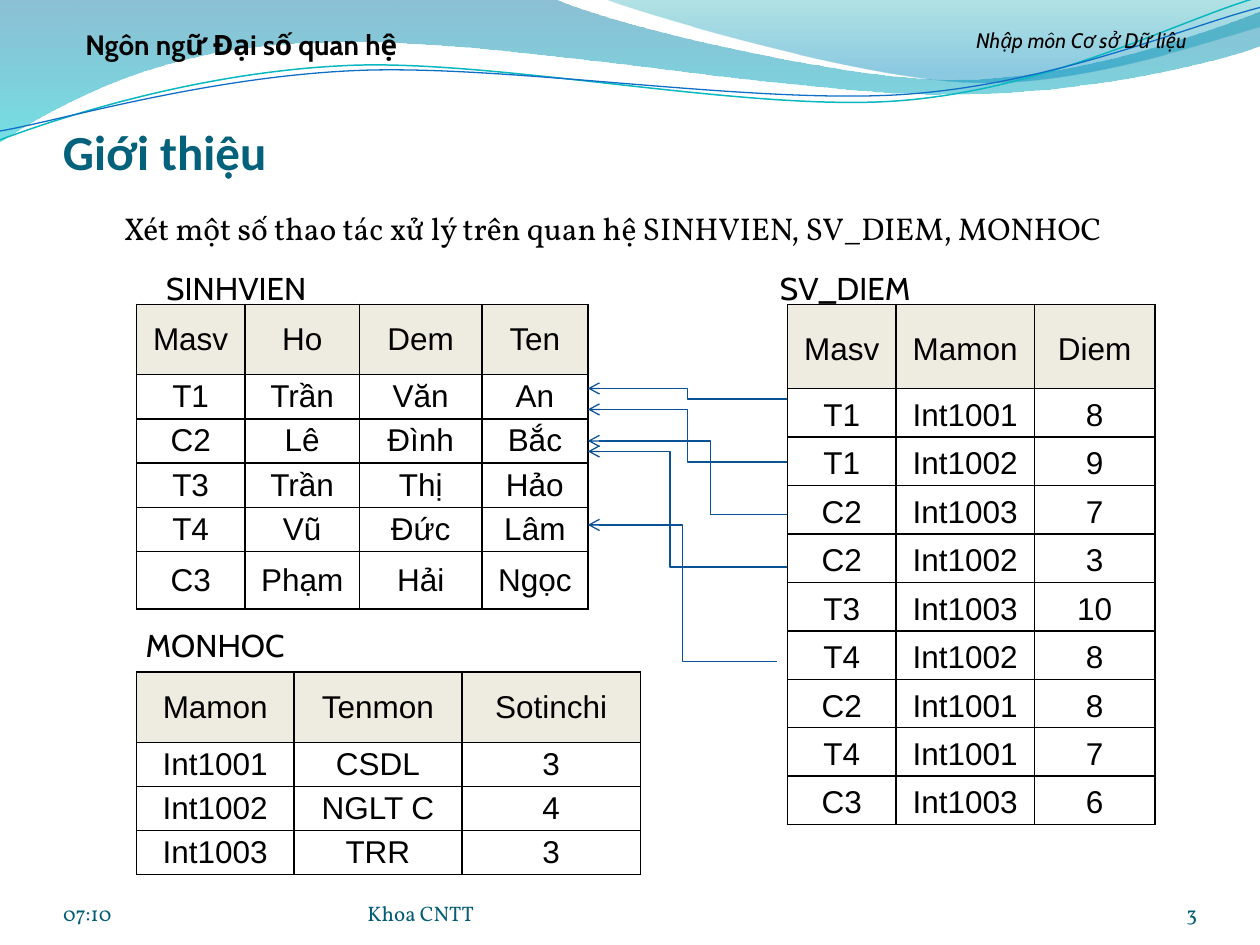
from dataclasses import dataclass
from math import cos, radians, sin
from typing import Optional

from lxml.etree import SubElement
from pptx import Presentation
from pptx.dml.color import ColorFormat, RGBColor
from pptx.enum.shapes import MSO_CONNECTOR as Connector
from pptx.enum.text import MSO_ANCHOR as Anchor, PP_ALIGN as Align
from pptx.oxml.ns import qn
from pptx.util import Pt

BLACK, TEAL, HEADER = "000000", "045D75", "EEECE1"


@dataclass
class Stop:
    color: str
    position: float
    alpha: int


@dataclass
class Wave:
    start: tuple
    segments: list
    stops: tuple = ()
    line: str = ""
    width: float = 0
    tilt: float = 0
    center: tuple = (0, 0)


@dataclass
class Label:
    text: str
    frame: tuple
    size: float
    font: str
    color: str = BLACK
    align: Align = Align.LEFT
    anchor: Anchor = Anchor.TOP
    insets: tuple = (7.2, 3.6, 7.2, 3.6)
    bold: bool = False
    italic: bool = False


@dataclass
class Relation:
    left: float
    top: float
    columns: list
    heights: list
    rows: list
    spacing: Optional[float] = None


@dataclass
class Link:
    begin: tuple
    end: tuple
    bend: float = 0.5


WAVES = [
    Wave((0, -0.7), [
        (316.8, -0.7),
        (342.7, 12.2, 478.1, 45.4, 545.8, 45.4),
        (614.2, 45.4, 689.8, 18.7, 720, 6.5),
        (720.7, 25.9),
        (707.8, 31.7, 626.4, 54.7, 537.1, 54),
        (447.8, 54, 275, 20.2, 185, 24.5),
        (92.9, 25.2, 33.1, 59.8, -0.7, 81.4),
    ], (Stop("0074A1", 0, 45), Stop("00C6CF", 1, 55))),
    Wave((344.9, -0.7), [
        (366.5, 7.9, 491, 44.6, 553.7, 46.8),
        (616.3, 49.7, 691.9, 23, 720, 15.1),
        (720, 0),
    ], (Stop("00A1A9", 0, 30), Stop("008BBF", 0.8, 45))),
    Wave((0, 79.9), [
        (34.6, 67, 113.8, 41, 199.4, 37.4),
        (284.4, 33.8, 427, 64.1, 513.4, 57.6),
        (599.8, 51.1, 675.4, 10.8, 718.6, -1.4),
    ], line="0AB8BF", width=0.85, tilt=-2.7, center=(359.3, 41.4)),
    Wave((0, 74.9), [
        (33.8, 69.1, 118.1, 43.9, 203.8, 40.3),
        (290.2, 36.7, 429.8, 59.8, 516.2, 54),
        (601.9, 48.2, 677.5, 15.1, 720, 4.3),
    ], line="0F6FC6", width=0.75, tilt=-2.7, center=(359.6, 42.5)),
]

LABELS = [
    Label("Giới thiệu", (36, 54, 648, 49), 28, "Calibri", "04617B",
          anchor=Anchor.BOTTOM, insets=(0, 3.6, 0, 0), bold=True),
    Label("Xét một số thao tác xử lý trên quan hệ SINHVIEN, SV_DIEM, MONHOC",
          (42, 108, 648, 48), 18, "Vollkorn", insets=(28.8, 11.4, 7.2, 3.6)),
    Label("Nhập môn Cơ sở Dữ liệu", (516, 12, 204, 27), 12, "Cabin",
          align=Align.CENTER, italic=True),
    Label("Ngôn ngữ Đại số quan hệ", (18, 12, 240, 27), 16, "Cabin",
          align=Align.CENTER, bold=True),
]
LABELS += [
    Label(text, (left, 500.4, width, 28.8), 12, "Vollkorn", TEAL, align,
          Anchor.BOTTOM, (0, 0, 0, 0))
    for text, left, width, align in [
        ("07:10", 36, 168, Align.LEFT),
        ("Khoa CNTT", 210, 264, Align.LEFT),
        ("3", 624, 60, Align.RIGHT),
    ]
]
LABELS += [
    Label(name, (left, top, 102, 29), 18, "Cabin", align=Align.CENTER)
    for name, left, top in [
        ("SINHVIEN", 84, 150), ("SV_DIEM", 432, 150), ("MONHOC", 72, 354),
    ]
]

RELATIONS = [
    Relation(78, 174, [61.9, 65.6, 69.9, 60.6], [40.1] + [25.3] * 4 + [32.9], [
        ("Masv", "Ho", "Dem", "Ten"),
        ("T1", "Trần", "Văn", "An"),
        ("C2", "Lê", "Đình", "Bắc"),
        ("T3", "Trần", "Thị", "Hảo"),
        ("T4", "Vũ", "Đức", "Lâm"),
        ("C3", "Phạm", "Hải", "Ngọc"),
    ]),
    Relation(450, 174, [62, 79.1, 68.9], [48] + [27.7] * 9, [
        ("Masv", "Mamon", "Diem"),
        ("T1", "Int1001", "8"),
        ("T1", "Int1002", "9"),
        ("C2", "Int1003", "7"),
        ("C2", "Int1002", "3"),
        ("T3", "Int1003", "10"),
        ("T4", "Int1002", "8"),
        ("C2", "Int1001", "8"),
        ("T4", "Int1001", "7"),
        ("C3", "Int1003", "6"),
    ], 1.15),
    Relation(78, 384, [90, 95.9, 102.1], [40.2] + [25.2] * 3, [
        ("Mamon", "Tenmon", "Sotinchi"),
        ("Int1001", "CSDL", "3"),
        ("Int1002", "NGLT C", "4"),
        ("Int1003", "TRR", "3"),
    ]),
]

LINKS = [
    Link((450, 228), (336, 222)),
    Link((450, 264), (336, 234)),
    Link((450, 294), (336, 252), 0.384),
    Link((450, 324), (336, 258), 0.589),
    Link((444, 378), (336, 300)),
]


def paint(target: ColorFormat, color: str) -> None:
    target.rgb = RGBColor.from_string(color)


def level(point: tuple, wave: Wave) -> tuple:
    angle = radians(-wave.tilt)
    across, down = (value - middle for value, middle in zip(point, wave.center))
    return (Pt(wave.center[0] + across * cos(angle) - down * sin(angle)),
            Pt(wave.center[1] + across * sin(angle) + down * cos(angle)))


def bend_segments(shape, segments: list) -> None:
    outline = next(shape.element.iter(qn("a:path")))
    steps = iter(outline.findall(qn("a:lnTo")))
    for segment in segments:
        first = next(steps)
        if len(segment) == 2:
            continue
        first.tag = qn("a:cubicBezTo")
        for _ in range(2):
            step = next(steps)
            first.append(step[0])
            outline.remove(step)


def draw_wave(page, wave: Wave) -> None:
    points = [level(segment[i:i + 2], wave)
              for segment in wave.segments for i in range(0, len(segment), 2)]
    builder = page.shapes.build_freeform(*level(wave.start, wave))
    builder.add_line_segments(points, close=bool(wave.stops))
    shape = builder.convert_to_shape()
    bend_segments(shape, wave.segments)
    shape.rotation = wave.tilt
    shape.shadow.inherit = False
    if not wave.stops:
        shape.fill.background()
        paint(shape.line.color, wave.line)
        shape.line.width = Pt(wave.width)
        return
    shape.line.fill.background()
    shape.fill.gradient()
    shape.fill.gradient_angle = 270
    for target, stop in zip(shape.fill.gradient_stops, wave.stops):
        target.position = stop.position
        paint(target.color, stop.color)
    for node, stop in zip(shape.element.iter(qn("a:gs")), wave.stops):
        SubElement(node[0], qn("a:alpha"), val=str(stop.alpha * 1000))


def draw_label(page, label: Label) -> None:
    frame = page.shapes.add_textbox(*map(Pt, label.frame)).text_frame
    frame.word_wrap = True
    frame.vertical_anchor = label.anchor
    (frame.margin_left, frame.margin_top,
     frame.margin_right, frame.margin_bottom) = map(Pt, label.insets)
    para = frame.paragraphs[0]
    para.text = label.text
    para.alignment = label.align
    para.font.size, para.font.name = Pt(label.size), label.font
    para.font.bold, para.font.italic = label.bold, label.italic
    paint(para.font.color, label.color)


def draw_cell(cell, text: str, is_header: bool, spacing: Optional[float]) -> None:
    properties = cell._tc.get_or_add_tcPr()
    for side in ("a:lnL", "a:lnR", "a:lnT", "a:lnB"):
        border = SubElement(properties, qn(side), w=str(Pt(1)))
        SubElement(SubElement(border, qn("a:solidFill")), qn("a:srgbClr"), val=BLACK)
    if is_header:
        cell.fill.solid()
        paint(cell.fill.fore_color, HEADER)
    else:
        cell.fill.background()
    cell.vertical_anchor = Anchor.MIDDLE
    cell.margin_left = cell.margin_right = Pt(5)
    cell.margin_top = cell.margin_bottom = Pt(0)
    para = cell.text_frame.paragraphs[0]
    para.text = text
    para.alignment = Align.CENTER
    para.line_spacing = spacing
    para.font.size, para.font.name = Pt(18), "Arial"
    paint(para.font.color, BLACK)


def draw_relation(page, relation: Relation) -> None:
    table = page.shapes.add_table(
        len(relation.rows), len(relation.columns), Pt(relation.left), Pt(relation.top),
        Pt(sum(relation.columns)), Pt(sum(relation.heights))).table
    table.first_row = table.horz_banding = False
    for column, width in zip(table.columns, relation.columns):
        column.width = Pt(width)
    for index, (row, height) in enumerate(zip(table.rows, relation.heights)):
        row.height = Pt(height)
        for cell, text in zip(row.cells, relation.rows[index]):
            draw_cell(cell, text, index == 0, relation.spacing)


def draw_link(page, link: Link) -> None:
    connector = page.shapes.add_connector(
        Connector.ELBOW, *map(Pt, link.begin + link.end))
    paint(connector.line.color, "095295")
    connector.line.width = Pt(0.75)
    SubElement(connector.line._get_or_add_ln(), qn("a:tailEnd"), type="arrow")
    properties = connector._element.spPr
    SubElement(properties, qn("a:effectLst"))
    guides = properties.find(qn("a:prstGeom")).find(qn("a:avLst"))
    SubElement(guides, qn("a:gd"), name="adj1", fmla=f"val {round(link.bend * 100000)}")


def main() -> None:
    deck = Presentation()
    deck.slide_width, deck.slide_height = Pt(720), Pt(540)
    page = deck.slides.add_slide(deck.slide_layouts[6])
    for draw, items in [(draw_wave, WAVES), (draw_label, LABELS),
                        (draw_relation, RELATIONS), (draw_link, LINKS)]:
        for item in items:
            draw(page, item)
    deck.save("out.pptx")


if __name__ == "__main__":
    main()
